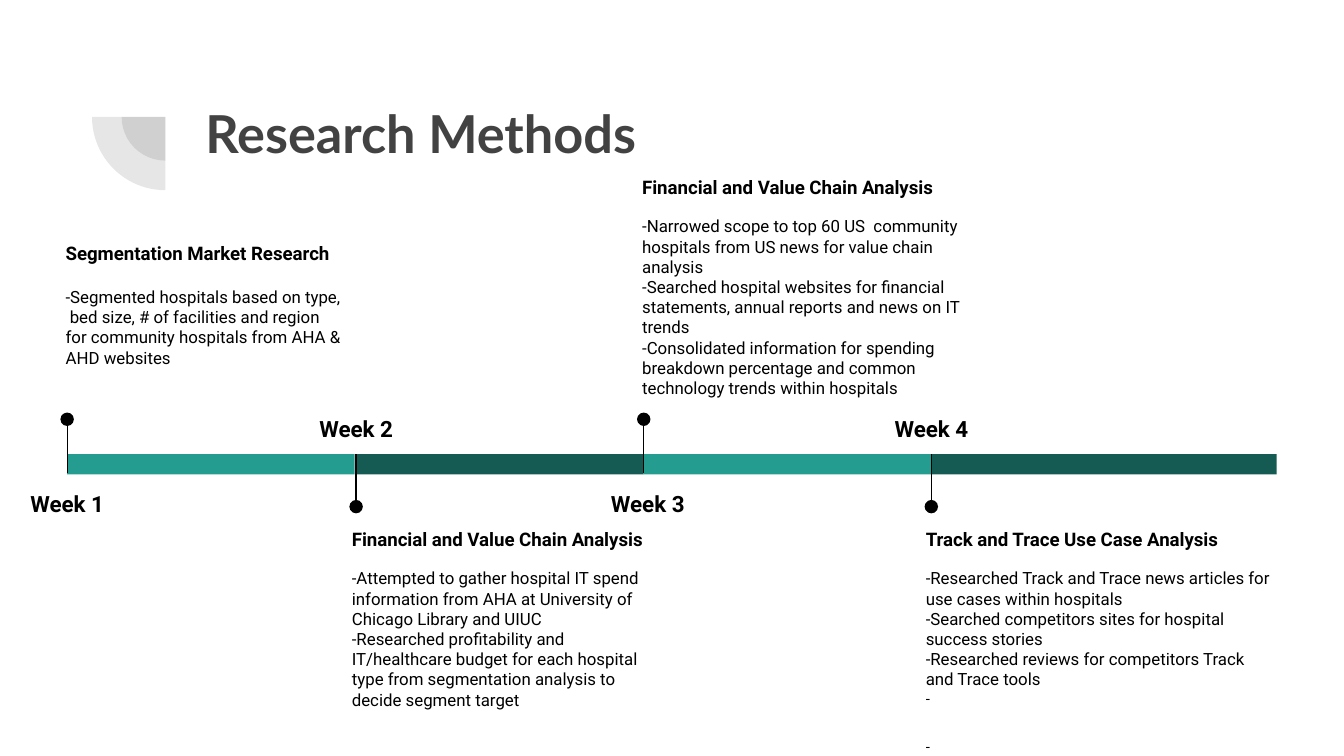
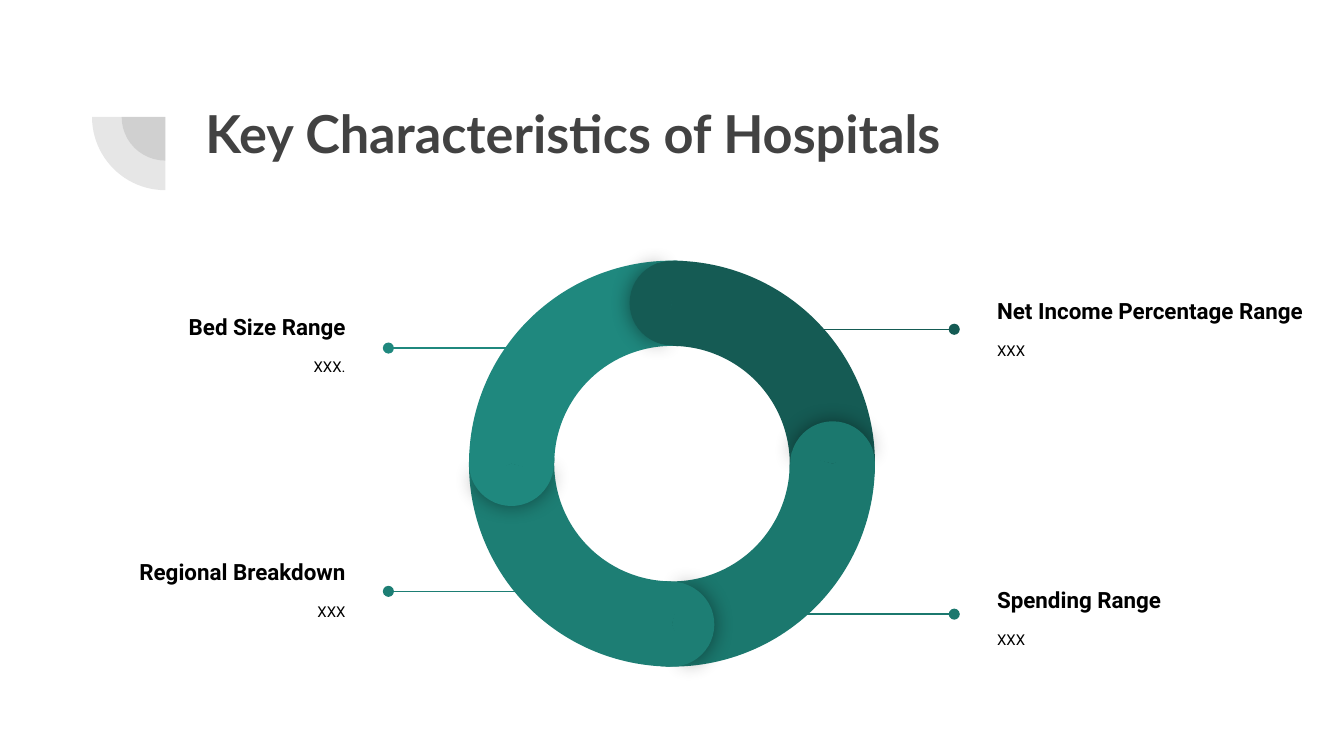
from lxml.etree import SubElement
from pptx import Presentation
from pptx.dml.color import RGBColor
from pptx.enum.shapes import MSO_CONNECTOR, MSO_SHAPE as Shape
from pptx.enum.text import MSO_ANCHOR as Anchor, PP_ALIGN as Align
from pptx.oxml.ns import qn
from pptx.util import Inches, Pt

WIDTH = 10
HEIGHT = WIDTH * 9 / 16
BLACK, GREY = "000000", "424242"
TEAL, DARK_TEAL = "249C90", "155B54"
LINE = MSO_CONNECTOR.STRAIGHT
TURN = 0.6  # adjustment units per degree

rgb = RGBColor.from_string

# Text formats
TITLE = {"size": Pt(28), "name": "Lato", "bold": True}
LABEL = {"size": Pt(12), "name": "Roboto", "bold": True}
HEADING = LABEL | {"size": Pt(10)}
BODY = {"size": Pt(9), "name": "Roboto", "bold": False}
SMALL = BODY | {"size": Pt(8)}


def draw(page, kind, box, color, turn=0, adjust=(), alpha=None, glow=False, tail=False):
    """Add a flat shape (left, top, width, height) or a line (x1, y1, x2, y2)."""
    place = [Inches(length) for length in box]
    if kind is LINE:
        item = page.shapes.add_connector(kind, *place)
        item.line.width = Pt(0.75)
        item.line.color.rgb = rgb(color)
        if tail:
            SubElement(item.element.spPr.find(qn("a:ln")), qn("a:tailEnd"), type="oval")
        SubElement(item.element.spPr, qn("a:effectLst"))
        return
    item = page.shapes.add_shape(kind, *place)
    item.rotation = turn
    for index, value in enumerate(adjust):
        item.adjustments[index] = value
    item.fill.solid()
    item.fill.fore_color.rgb = rgb(color)
    item.line.fill.background()
    item.shadow.inherit = False
    if alpha:
        tint = item.element.spPr.find(qn("a:solidFill"))[0]
        SubElement(tint, qn("a:alpha"), val=str(alpha * 1000))
    if glow:
        effects = item.element.spPr.find(qn("a:effectLst"))
        shadow = SubElement(effects, qn("a:outerShdw"), blurRad=str(Pt(11.2)),
                            dist="0", dir="0", algn="ctr", rotWithShape="0")
        tint = SubElement(shadow, qn("a:srgbClr"), val=BLACK)
        SubElement(tint, qn("a:alpha"), val="43000")


def write(page, box, lines, color=BLACK, anchor=Anchor.TOP):
    """Add a text box; each line is (text, font format, paragraph format)."""
    frame = page.shapes.add_textbox(*[Inches(length) for length in box]).text_frame
    settings = {"word_wrap": True, "vertical_anchor": anchor}
    for side in ("left", "top", "right", "bottom"):
        settings["margin_" + side] = Inches(0.1)
    for name, value in settings.items():
        setattr(frame, name, value)
    for index, (text, font, layout) in enumerate(lines):
        para = frame.add_paragraph() if index else frame.paragraphs[0]
        span = para.add_run()
        span.text = text
        span.font.color.rgb = rgb(color)
        for target, values in ((span.font, font), (para, layout)):
            for name, value in values.items():
                setattr(target, name, value)


deck = Presentation()
deck.slide_width, deck.slide_height = Inches(WIDTH), Inches(HEIGHT)

# Title and quarter-circle mark on both slides
pages = []
for title in ("Research Methods", "Key Characteristics of Hospitals"):
    page = deck.slides.add_slide(deck.slide_layouts[6])
    for size in (0.65, 1.09):
        corner = (1.23 - size / 2, 0.87 - size / 2, size, size)
        draw(page, Shape.PIE, corner, GREY, 270, (180 * TURN, 270 * TURN), alpha=13)
    write(page, (1.43, 0.65, 7.69, 1.09), [(title, TITLE, {})], GREY)
    pages.append(page)
timeline, wheel = pages

# Timeline: one column a week, texts alternating above and below the band
START, COLUMN, BAND_TOP, BAND = 0.5, 2.14, 3.38, 0.15
DOT = 0.1
weeks = [
    # text left, text top, text width, heading gap, heading, notes
    (0.39, 1.7, 2.26, 12, "Segmentation Market Research", [
        "-Segmented hospitals based on type,  bed size, # of facilities and region "
        "for community hospitals from AHA & AHD websites"]),
    (2.52, 3.83, 2.46, 9.4, "Financial and Value Chain Analysis", [
        "-Attempted to gather hospital IT spend information from AHA at University of "
        "Chicago Library and UIUC",
        "-Researched profitability and IT/healthcare budget for each hospital  type "
        "from segmentation analysis to decide segment target"]),
    (4.68, 1.21, 2.64, 9.4, "Financial and Value Chain Analysis", [
        "-Narrowed scope to top 60 US  community hospitals from US news for value "
        "chain analysis",
        "-Searched hospital websites for financial statements, annual reports and "
        "news on IT trends",
        "-Consolidated information for spending breakdown percentage and common "
        "technology trends within hospitals"]),
    (6.79, 3.83, 2.8, 9.4, "Track and Trace Use Case Analysis", [
        "-Researched Track and Trace news articles for use cases within hospitals",
        "-Searched competitors sites for hospital success stories",
        "-Researched reviews for competitors Track and Trace tools"]),
]
for number, (left, top, width, gap, heading, notes) in enumerate(weeks):
    x = START + number * COLUMN + (0.01 if number else 0)
    above = number % 2 == 0
    is_last = number == len(weeks) - 1
    band_width = WIDTH - START - x if is_last else COLUMN
    draw(timeline, Shape.RECTANGLE, (x, BAND_TOP, band_width, BAND),
         TEAL if above else DARK_TEAL)
    stem = (x, 3.13, x, 3.52) if above else (x, 3.77, x, BAND_TOP)
    draw(timeline, LINE, stem, BLACK)
    draw(timeline, Shape.OVAL, (x - DOT / 2, 3.07 if above else 3.72, DOT, DOT), BLACK)
    label_left = 4.41 if number == 2 else x - 0.41
    write(timeline, (label_left, 3.52 if above else 2.96, 0.82, 0.41),
          [(f"Week {number + 1}", LABEL, {"alignment": Align.CENTER, "line_spacing": 1.15})])
    lines = [(heading, HEADING, {"space_after": Pt(gap)})]
    lines += [(note, BODY, {}) for note in notes]
    if is_last:
        lines += [("-", SMALL, {}),
                  ("-", SMALL, {"space_before": Pt(16), "space_after": Pt(16)})]
    write(timeline, (left, top, width, 1.03), lines)

# Wheel: four ring quarters, then a round cap where each one starts
CENTER_X, CENTER_Y, RING, CAP = 5, 3.45, 3.02, 0.63
TRACK = (RING - CAP) / 2
quarters = [
    # colour, ring turn, cap turn, cap direction (x, y)
    ("1D7E74", 240, 180, (0, 1)),
    ("1F887E", 330, 270, (-1, 0)),
    ("155B54", 60, 0, (0, -1)),
    ("1B786E", 150, 90, (1, 0)),
]
for color, turn, _, _ in quarters:
    draw(wheel, Shape.BLOCK_ARC, (CENTER_X - RING / 2, CENTER_Y - RING / 2, RING, RING),
         color, turn, (210.4 * TURN, 303 * TURN, 0.21))
for color, _, turn, (across, down) in reversed(quarters):
    cap = (CENTER_X + across * TRACK - CAP / 2, CENTER_Y + down * TRACK - CAP / 2, CAP, CAP)
    draw(wheel, Shape.PIE, cap, color, turn + 0.7, (103 * TURN, 250 * TURN), glow=True)
    draw(wheel, Shape.PIE, cap, color, (turn + 180) % 360, (67 * TURN, 286 * TURN))

# Callouts beside the wheel
callouts = [
    # heading, value, colour, text (left, top, width), line from x, to x, y
    ("Bed Size Range", "XXX.", "1F887E", (0.35, 1.86, 2.32), 4.03, 2.89, 2.59),
    ("Regional Breakdown", "XXX", "1D7E74", (0.35, 3.68, 2.32), 4.32, 2.89, 4.4),
    ("Net Income Percentage Range", "XXX", "155B54", (7.32, 1.74, 2.55), 5.7, 7.1, 2.45),
    ("Spending Range", "XXX", "1B786E", (7.32, 3.89, 2.32), 5.7, 7.1, 4.57),
]
for heading, value, color, place, start, end, y in callouts:
    side = {"alignment": Align.RIGHT if end < start else Align.LEFT}
    write(wheel, (*place, 1.41),
          [(heading, LABEL, side | {"space_after": Pt(9.4)}),
           (value, SMALL, side | {"space_after": Pt(16)})],
          anchor=Anchor.MIDDLE)
    draw(wheel, LINE, (start, y, end, y), color, tail=True)

deck.save("out.pptx")
